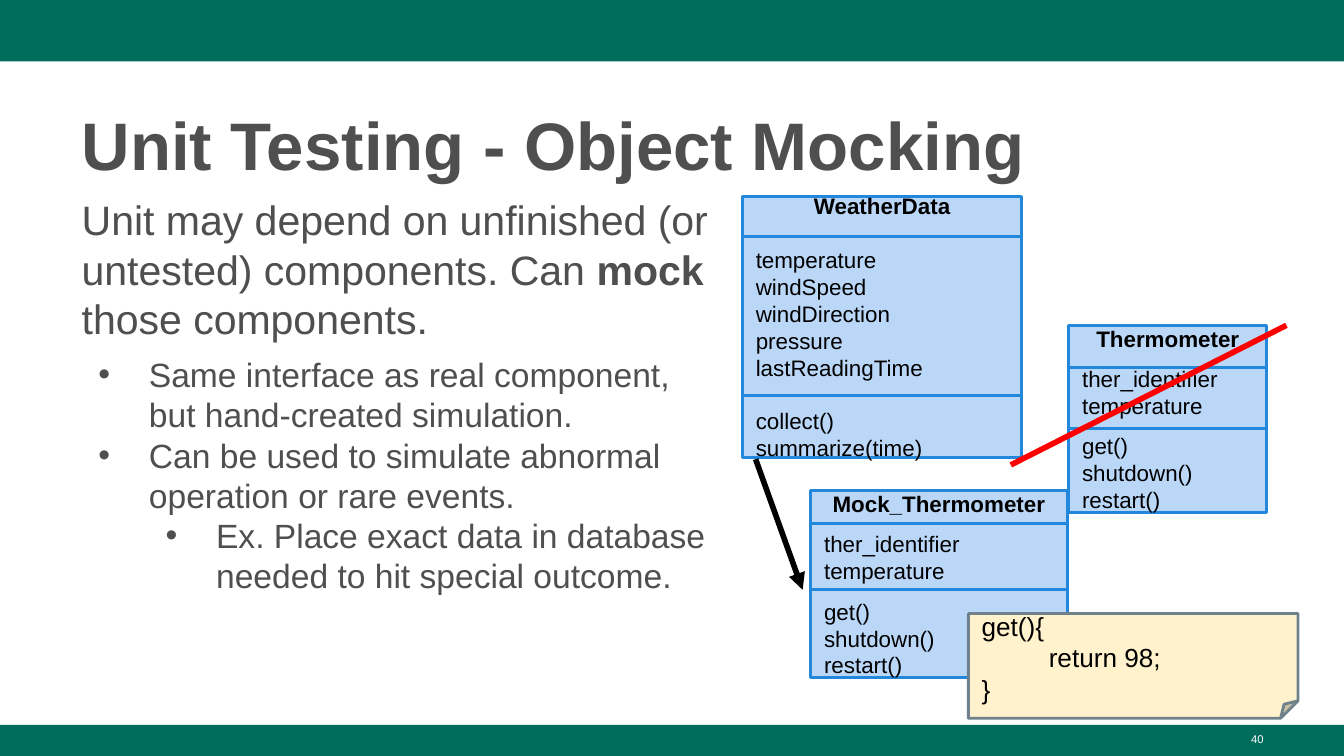
from dataclasses import dataclass

from lxml.etree import SubElement
from pptx import Presentation
from pptx.dml.color import RGBColor
from pptx.enum.shapes import MSO_CONNECTOR, MSO_SHAPE
from pptx.enum.text import MSO_ANCHOR, PP_ALIGN
from pptx.oxml.ns import qn
from pptx.util import Pt


@dataclass(frozen=True)
class Theme:
    font: str = "Arial"
    band: str = "006C5C"
    grey: str = "4F4F4F"
    black: str = "000000"
    white: str = "FFFFFF"
    class_fill: str = "BBD7F8"
    class_line: str = "2388DB"
    note_fill: str = "FFF2CC"
    note_line: str = "6F828C"
    strike: str = "FF0000"
    title: int = 36
    lead: int = 22
    bullet: int = 18
    code: int = 14
    label: int = 12
    number: int = 6
    thin: float = 1.5
    thick: float = 3


class SlideBuilder:
    def __init__(self, slide, theme):
        self.slide = slide
        self.theme = theme

    def frame(self, shape, anchor=MSO_ANCHOR.TOP, inset=3.6):
        frame = shape.text_frame
        settings = {
            "word_wrap": True,
            "vertical_anchor": anchor,
            "margin_left": Pt(7.2),
            "margin_right": Pt(7.2),
            "margin_top": Pt(inset),
            "margin_bottom": Pt(inset),
        }
        for name, value in settings.items():
            setattr(frame, name, value)
        return frame

    def paragraph(self, frame, runs, size, color, bullet_indent=None, **format_values):
        """Fill the empty first paragraph or append one; runs are (text, bold)."""
        first = frame.paragraphs[0]
        paragraph = frame.add_paragraph() if first.runs else first
        values = {"alignment": PP_ALIGN.LEFT, "space_before": Pt(0), **format_values}
        for name, value in values.items():
            setattr(paragraph, name, value)
        if bullet_indent:
            properties = paragraph._p.get_or_add_pPr()
            properties.set("marL", str(Pt(bullet_indent)))
            properties.set("indent", str(Pt(-27)))
            SubElement(properties, qn("a:buFont"), typeface=self.theme.font)
            SubElement(properties, qn("a:buChar"), char="•")
        for text, bold in runs:
            run = paragraph.add_run()
            run.text = text
            font_values = {"name": self.theme.font, "size": Pt(size), "bold": bold}
            for name, value in font_values.items():
                setattr(run.font, name, value)
            run.font.color.rgb = RGBColor.from_string(color)

    def text_box(self, left, top, width, height):
        box = self.slide.shapes.add_textbox(Pt(left), Pt(top), Pt(width), Pt(height))
        return self.frame(box)

    def box(self, left, top, width, height, fill, line=None, kind=MSO_SHAPE.RECTANGLE):
        shape = self.slide.shapes.add_shape(
            kind, Pt(left), Pt(top), Pt(width), Pt(height)
        )
        shape.shadow.inherit = False
        shape.fill.solid()
        shape.fill.fore_color.rgb = RGBColor.from_string(fill)
        if line:
            shape.line.color.rgb = RGBColor.from_string(line)
            shape.line.width = Pt(self.theme.thin)
        else:
            shape.line.fill.background()
        return shape

    def line(self, start, end, color, width, arrow=False):
        connector = self.slide.shapes.add_connector(
            MSO_CONNECTOR.STRAIGHT, *(Pt(value) for value in (*start, *end))
        )
        connector.line.color.rgb = RGBColor.from_string(color)
        connector.line.width = Pt(width)
        if arrow:
            SubElement(connector.line._get_or_add_ln(), qn("a:tailEnd"), type="triangle")
        SubElement(connector._element.spPr, qn("a:effectLst"))

    def class_box(self, left, top, width, height, name, sections, dividers, gap):
        """Draw a UML class; gap is the space above each section."""
        theme = self.theme
        shape = self.box(left, top, width, height, theme.class_fill, theme.class_line)
        frame = self.frame(shape, MSO_ANCHOR.MIDDLE, 7.2)
        self.paragraph(
            frame, [(name, True)], theme.label, theme.black, alignment=PP_ALIGN.CENTER
        )
        for members in sections:
            for index, member in enumerate(members):
                space = Pt(0 if index else gap)
                self.paragraph(
                    frame, [(member, False)], theme.label, theme.black, space_before=space
                )
        for y in dividers:
            self.line((left, y), (left + width, y), theme.class_line, theme.thin)

    def note(self, left, top, width, height, lines):
        theme = self.theme
        shape = self.box(
            left, top, width, height, theme.note_fill, theme.note_line,
            MSO_SHAPE.FOLDED_CORNER,
        )
        frame = self.frame(shape, MSO_ANCHOR.MIDDLE, 7.2)
        for text in lines:
            self.paragraph(frame, [(text, False)], theme.code, theme.black)


def main():
    presentation = Presentation()
    presentation.slide_width, presentation.slide_height = Pt(720), Pt(405)
    slide = presentation.slides.add_slide(presentation.slide_layouts[6])
    theme = Theme()
    builder = SlideBuilder(slide, theme)

    builder.box(0, 0, 720, 33, theme.band)
    builder.box(0, 388.3, 720, 16.7, theme.band)

    title = builder.text_box(36.7, 48.2, 647.3, 52.6)
    builder.paragraph(
        title, [("Unit Testing - Object Mocking", True)], theme.title, theme.grey,
        line_spacing=1.08,
    )

    body = builder.text_box(36.7, 100.8, 357.8, 274.3)
    lead = [
        ("Unit may depend on unfinished (or untested) components. Can ", False),
        ("mock ", True),
        ("those components.", False),
    ]
    builder.paragraph(body, lead, theme.lead, theme.grey)
    bullets = [
        ("Same interface as real component, but hand-created simulation.", 0, 6),
        ("Can be used to simulate abnormal operation or rare events.", 0, 0),
        ("Ex. Place exact data in database needed to hit special outcome.", 1, 0),
    ]
    for text, level, space in bullets:
        builder.paragraph(
            body, [(text, False)], theme.bullet, theme.grey,
            bullet_indent=36 * (level + 1), level=level, space_before=Pt(space),
        )

    weather = [
        ["temperature", "windSpeed", "windDirection", "pressure", "lastReadingTime"],
        ["collect()", "summarize(time)"],
    ]
    thermometer = [
        ["ther_identifier", "temperature"],
        ["get()", "shutdown()", "restart()"],
    ]
    builder.class_box(
        397.8, 105.2, 149.6, 139.8, "WeatherData", weather, (126.7, 211.8), 14.4
    )
    builder.class_box(
        572.6, 174.3, 106.1, 100.2, "Thermometer", thermometer, (197, 229.8), 7.2
    )
    builder.class_box(
        434.4, 262.9, 137.3, 100.2, "Mock_Thermometer", thermometer, (280.5, 315.8), 7.2
    )
    builder.line((541.5, 249.1), (689.2, 174.3), theme.strike, theme.thick)
    builder.line((404.8, 246), (430, 316), theme.black, theme.thick, arrow=True)
    builder.note(518.8, 328.7, 176.6, 56.1, ["get(){", "\treturn 98;", "}"])

    number = builder.text_box(516.2, 388.8, 167.8, 16.2)
    builder.paragraph(
        number, [("40", False)], theme.number, theme.white, alignment=PP_ALIGN.RIGHT
    )
    presentation.save("out.pptx")


if __name__ == "__main__":
    main()
